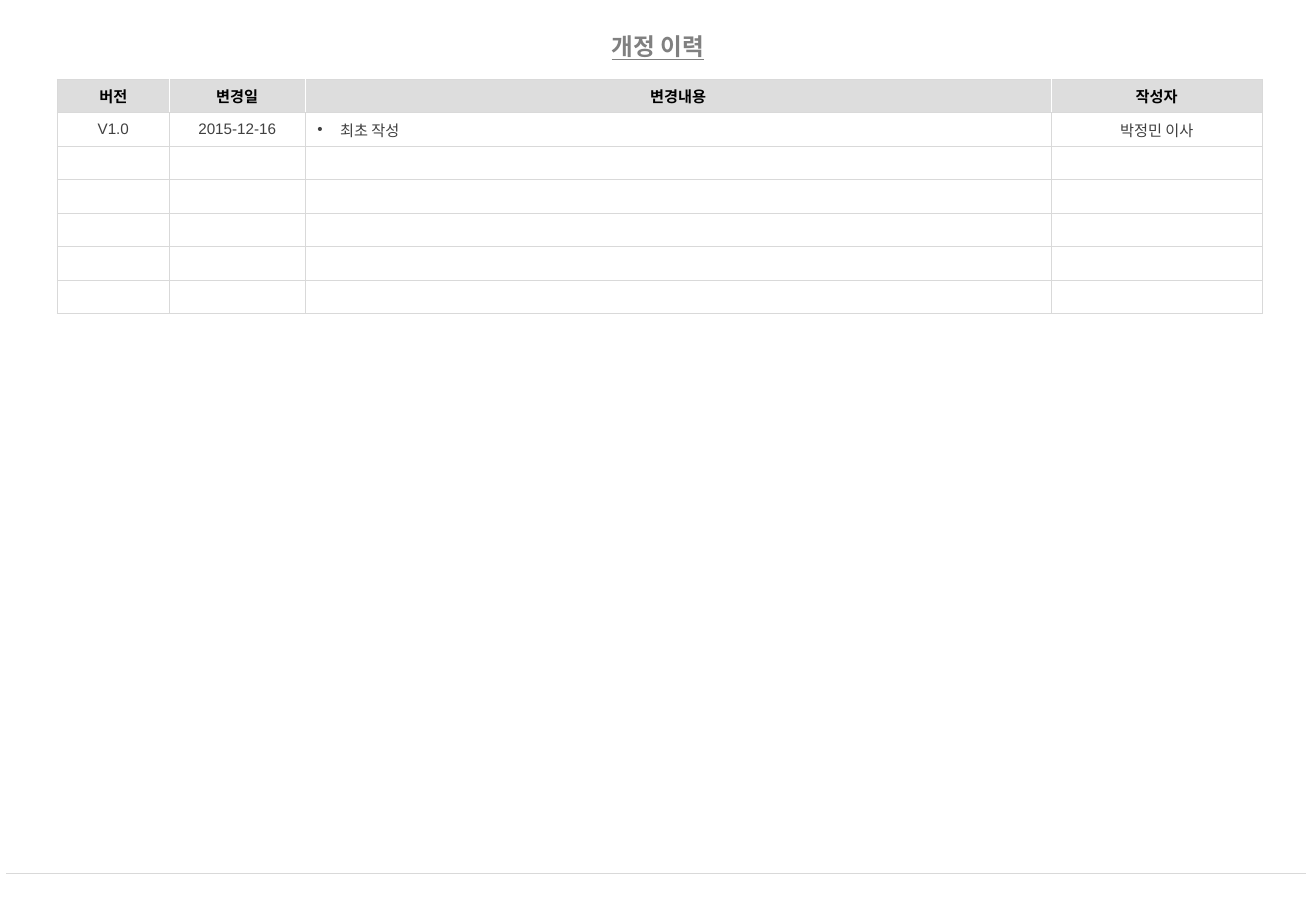
"""Builds a revision history slide with a version table."""
from pptx import Presentation
from pptx.dml.color import RGBColor
from pptx.enum.shapes import MSO_CONNECTOR
from pptx.enum.text import MSO_ANCHOR, MSO_AUTO_SIZE, PP_ALIGN
from pptx.oxml.ns import qn
from pptx.util import Pt
from lxml import etree

STRAIGHT = MSO_CONNECTOR.STRAIGHT
MIDDLE = MSO_ANCHOR.MIDDLE
GROW = MSO_AUTO_SIZE.SHAPE_TO_FIT_TEXT
CENTER, LEFT = PP_ALIGN.CENTER, PP_ALIGN.LEFT
FONT = "Arial"
RULE, HEADER_FILL, WHITE = "D9D9D9", "DDDDDD", "FFFFFF"
RULE_WIDTH = Pt(0.5)
CELL_SIZE = Pt(9)
COLUMN_WIDTHS = (66.3, 80.6, 442.1, 125.3)
ROW_COUNT, ROW_HEIGHT = 7, 19.85
CHANGE_COLUMN = 2
HISTORY = (
    ("버전", "변경일", "변경내용", "작성자"),
    ("V1.0", "2015-12-16", "최초 작성", "박정민 이사"),
)


def color(hex_value):
    """Turn a hex string into a colour."""
    return RGBColor.from_string(hex_value)


def apply_format(target, values):
    """Set every attribute named in a dict of format values."""
    for name, value in values.items():
        setattr(target, name, value)


def write(paragraph, text, align, hex_value, **font_values):
    """Fill a paragraph with one formatted run."""
    paragraph.alignment = align
    run = paragraph.add_run()
    run.text = text
    apply_format(run.font, {"name": FONT, **font_values})
    run.font.color.rgb = color(hex_value)


def add_title(slide, text):
    """Place the underlined heading in the title placeholder."""
    title = slide.shapes.title
    apply_format(title, {"left": Pt(358.6), "top": Pt(15.8), "width": Pt(62.6), "height": Pt(23)})
    frame = title.text_frame
    margins = dict.fromkeys(("margin_left", "margin_top", "margin_right", "margin_bottom"), Pt(2.9))
    apply_format(frame, {"word_wrap": False, "auto_size": GROW, "vertical_anchor": MIDDLE, **margins})
    write(frame.paragraphs[0], text, CENTER, "808080", size=Pt(14), bold=True, underline=True)


def add_footer_rule(slide):
    """Draw the thin line at the foot of the slide."""
    rule = slide.shapes.add_connector(STRAIGHT, Pt(3.6), Pt(517.7), Pt(774), Pt(517.7))
    rule.line.color.rgb = color(RULE)
    rule.line.width = RULE_WIDTH
    etree.SubElement(rule._element.spPr, qn("a:effectLst"))


def set_borders(cell, side_colors):
    """Draw the four borders of a cell, given as side and colour."""
    properties = cell._tc.get_or_add_tcPr()
    for side, hex_value in side_colors.items():
        border = etree.SubElement(properties, qn(f"a:ln{side}"), w=str(RULE_WIDTH))
        fill = etree.SubElement(border, qn("a:solidFill"))
        etree.SubElement(fill, qn("a:srgbClr"), val=hex_value)


def add_bullet(paragraph):
    """Give a paragraph a hanging bullet."""
    properties = paragraph._p.get_or_add_pPr()
    indent = Pt(13.5)
    properties.set("marL", str(indent))
    properties.set("indent", str(-indent))
    etree.SubElement(properties, qn("a:buFont"), typeface=FONT)
    etree.SubElement(properties, qn("a:buChar"), char="•")


def format_cell(cell, text, row, column):
    """Fill one cell with its borders, background and text."""
    is_header = row == 0
    last_column = len(COLUMN_WIDTHS) - 1
    divider = WHITE if is_header else RULE
    set_borders(cell, {
        "L": divider if column > 0 else RULE,
        "R": divider if column < last_column else RULE,
        "T": RULE,
        "B": RULE,
    })
    cell.fill.solid()
    cell.fill.fore_color.rgb = color(HEADER_FILL if is_header else WHITE)
    apply_format(cell, {"vertical_anchor": MIDDLE, "margin_top": Pt(2), "margin_bottom": Pt(2)})
    paragraph = cell.text_frame.paragraphs[0]
    if not text:
        etree.SubElement(paragraph._p, qn("a:endParaRPr"), sz=str(int(CELL_SIZE.pt * 100)))
        return
    is_change = column == CHANGE_COLUMN and not is_header
    write(paragraph, text, LEFT if is_change else CENTER,
          "000000" if is_header else "404040", size=CELL_SIZE, bold=is_header)
    if is_change:
        add_bullet(paragraph)


def add_history_table(slide):
    """Build the table of versions, with spare rows below."""
    history = slide.shapes.add_table(
        ROW_COUNT, len(COLUMN_WIDTHS), Pt(34), Pt(47),
        Pt(sum(COLUMN_WIDTHS)), Pt(ROW_COUNT * ROW_HEIGHT)).table
    apply_format(history, {"first_row": False, "horz_banding": False})
    for column, width in zip(history.columns, COLUMN_WIDTHS):
        column.width = Pt(width)
    for row_index, row in enumerate(history.rows):
        row.height = Pt(ROW_HEIGHT)
        for column_index, cell in enumerate(row.cells):
            text = HISTORY[row_index][column_index] if row_index < len(HISTORY) else ""
            format_cell(cell, text, row_index, column_index)


def main():
    """Assemble and save the slide."""
    presentation = Presentation()
    apply_format(presentation, {"slide_width": Pt(780), "slide_height": Pt(540)})
    slide = presentation.slides.add_slide(presentation.slide_layouts[5])
    add_footer_rule(slide)
    add_title(slide, "개정 이력")
    add_history_table(slide)
    presentation.save("out.pptx")


if __name__ == "__main__":
    main()
